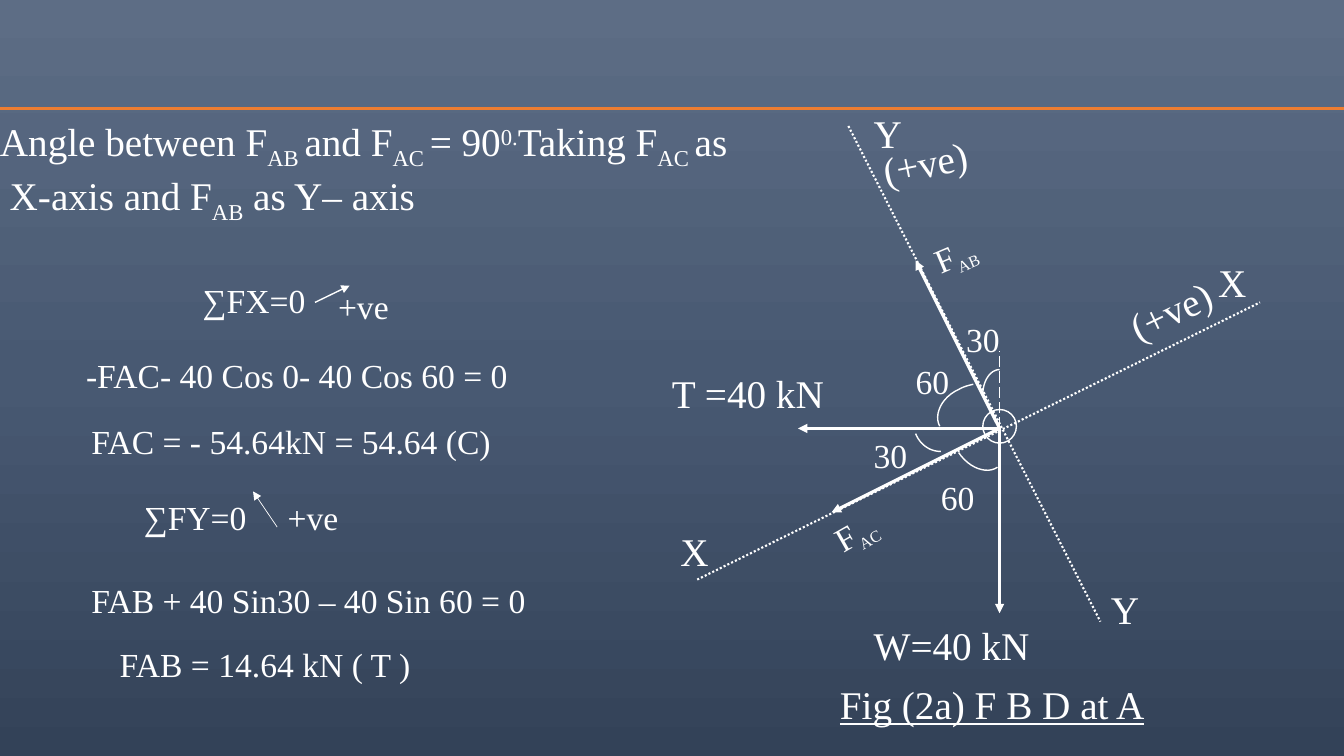
from copy import deepcopy
from dataclasses import dataclass

from lxml.etree import SubElement
from pptx import Presentation
from pptx.dml.color import RGBColor as Color
from pptx.enum.dml import MSO_LINE as Dash
from pptx.enum.shapes import MSO_CONNECTOR as Connector, MSO_SHAPE as Shape
from pptx.oxml.ns import qn
from pptx.util import Pt

PX = 9525  # EMU in one px, 96 px to the inch


@dataclass(frozen=True)
class Theme:
    font: str = "Times New Roman"
    ink: Color = Color(0xFF, 0xFF, 0xFF)
    rule: Color = Color(0xED, 0x7D, 0x31)
    backdrop: tuple = ("5D6D85", "485972", "334258")
    large: int = 28
    medium: int = 24
    small: int = 20
    thin: float = 1
    dotted: float = 1.5
    thick: float = 2.25


THEME = Theme()
SUB, SUPER = -25, 30
JOINT = (952, 408)


def paint_background(slide):
    fill = slide.background.fill
    fill.gradient()
    fill.gradient_angle = 270
    stop_list = next(slide.element.iter(qn("a:gsLst")))
    stop_list.append(deepcopy(stop_list[0]))
    for index, (stop, colour) in enumerate(zip(fill.gradient_stops, THEME.backdrop)):
        stop.position = index / 2
        stop.color.rgb = Color.from_string(colour)


def add_text(slide, place, paragraphs, size, inset=0, turn=0, underline=None):
    """Each paragraph is a list of spans: (text, baseline percent[, size])."""
    box = slide.shapes.add_textbox(*(value * PX for value in place))
    box.rotation = turn
    frame = box.text_frame
    frame.word_wrap = True
    frame.margin_left = frame.margin_right = 2 * inset * PX
    frame.margin_top = frame.margin_bottom = inset * PX
    for index, spans in enumerate(paragraphs):
        para = frame.add_paragraph() if index else frame.paragraphs[0]
        font = para.font
        font.name, font.size, font.color.rgb = THEME.font, Pt(size), THEME.ink
        font.underline = underline
        for text, baseline, *span_size in spans:
            span = para.add_run()
            span.text = text
            if baseline:
                span.font._element.set("baseline", str(baseline * 1000))
            if span_size:
                span.font.size = Pt(span_size[0])


def add_label(slide, place, text, size=THEME.large, **options):
    add_text(slide, place, [[(text, 0)]], size, **options)


def add_force_label(slide, place, member, turn):
    spans = [("F", 0), (member, SUB, THEME.small)]
    add_text(slide, place, [spans], THEME.medium, turn=turn)


def add_line(slide, start, end, width, arrow=False, dash=None, colour=THEME.ink):
    ends = (value * PX for value in (*start, *end))
    connector = slide.shapes.add_connector(Connector.STRAIGHT, *ends)
    line = connector.line
    line.width = Pt(width)
    line.color.rgb = colour
    if dash:
        line.dash_style = dash
    if arrow:
        SubElement(line._get_or_add_ln(), qn("a:tailEnd"), type="triangle")
    SubElement(connector._element.spPr, qn("a:effectLst"))


def outline(shape):
    shape.shadow.inherit = False
    shape.fill.background()
    shape.line.color.rgb = THEME.ink
    shape.line.width = Pt(THEME.thin)


def curve_points(controls, steps=12):
    """Points along a chain of cubic curves that share their end points."""
    for first in range(0, len(controls) - 1, 3):
        curve = controls[first:first + 4]
        for step in range(1, steps + 1):
            t = step / steps
            weights = ((1 - t) ** 3, 3 * t * (1 - t) ** 2, 3 * t * t * (1 - t), t ** 3)
            yield tuple(PX * sum(w * point[axis] for w, point in zip(weights, curve))
                        for axis in (0, 1))


def add_arc(slide, controls):
    start_x, start_y = controls[0]
    builder = slide.shapes.build_freeform(start_x * PX, start_y * PX)
    builder.add_line_segments(list(curve_points(controls)), close=False)
    outline(builder.convert_to_shape())


def draw_diagram(slide):
    # Joint and axes
    ring = slide.shapes.add_shape(Shape.OVAL, *(v * PX for v in (936, 390, 32, 32)))
    outline(ring)
    for start, end in (((664, 552), (1200, 288)), ((808, 120), (1048, 592))):
        add_line(slide, start, end, THEME.dotted, dash=Dash.ROUND_DOT)
    add_line(slide, JOINT, (952, 334), THEME.thin, dash=Dash.LONG_DASH)

    # Forces acting on the joint
    for tip in ((792, 488), (952, 584), (760, 408), (872, 248)):
        add_line(slide, JOINT, tip, THEME.thick, arrow=True)

    # Angle arcs and values
    for controls in (
        [(952, 352), (943, 352), (936, 363), (936, 376)],
        [(913, 431), (923, 446), (940, 452), (950, 445)],
        [(872, 413), (876, 423), (885, 430), (896, 430)],
        [(927, 366), (923, 367), (918, 368), (913, 371),
         (897, 378), (889, 395), (895, 406)],
    ):
        add_arc(slide, controls)
    for left, top, angle in ((920, 304, "30"), (872, 344, "60"),
                             (832, 414, "30"), (896, 454, "60")):
        add_label(slide, (left, top, 33, 38), angle, THEME.medium)

    # Force and axis labels
    add_force_label(slide, (888, 216, 72, 38), "AB", 336.9)
    add_force_label(slide, (792, 479, 72, 38), "AC", 330.2)
    add_label(slide, (640, 352, 168, 45), "T =40 kN")
    add_label(slide, (832, 592, 176, 45), "W=40 kN")
    for left, top, axis in ((1160, 246, "X"), (648, 502, "X"),
                            (832, 104, "Y"), (1058, 557, "Y")):
        add_label(slide, (left, top, 24, 45), axis)
    for left, top, turn in ((1072, 264, 334.4), (840, 128, 348.3)):
        add_label(slide, (left, top, 123, 45), "(+ve)", turn=turn)
    add_label(slide, (800, 648, 336, 45), "Fig (2a) F B D at A", underline=True)


def write_equations(slide):
    # Statement of the axes
    add_text(slide, (0, 112, 776, 90), [
        [("Angle between F", 0), ("AB ", SUB), ("and F", 0), ("AC ", SUB),
         ("= 90", 0), ("0.", SUPER), ("Taking F", 0), ("AC ", SUB), ("as", 0)],
        [(" X-axis and F", 0), ("AB", SUB), (" as Y– axis", 0)],
    ], THEME.large)

    # Equilibrium equations
    for left, top, width, text in (
        (183, 262, 120, "∑FX=0"),
        (312, 267, 88, "+ve"),
        (72, 333, 488, "-FAC- 40 Cos 0- 40 Cos 60 = 0"),
        (77, 396, 420, "FAC = - 54.64kN = 54.64 (C)"),
        (127, 468, 120, "∑FY=0"),
        (264, 468, 88, "+ve"),
        (77, 547, 456, "FAB + 40 Sin30 – 40 Sin 60 = 0"),
        (104, 608, 312, "FAB = 14.64 kN ( T )"),
    ):
        add_label(slide, (left, top, width, 48), text, THEME.medium, inset=5)

    # Positive directions
    add_line(slide, (300, 288), (333, 272), THEME.thin, arrow=True)
    add_line(slide, (264, 502), (241, 468), THEME.thin / 2, arrow=True)


def main():
    deck = Presentation()
    deck.slide_width, deck.slide_height = 1280 * PX, 720 * PX
    slide = deck.slides.add_slide(deck.slide_layouts[6])
    paint_background(slide)
    add_line(slide, (0, 103), (1280, 103), THEME.thick, colour=THEME.rule)
    draw_diagram(slide)
    write_equations(slide)
    deck.save("out.pptx")


if __name__ == "__main__":
    main()
